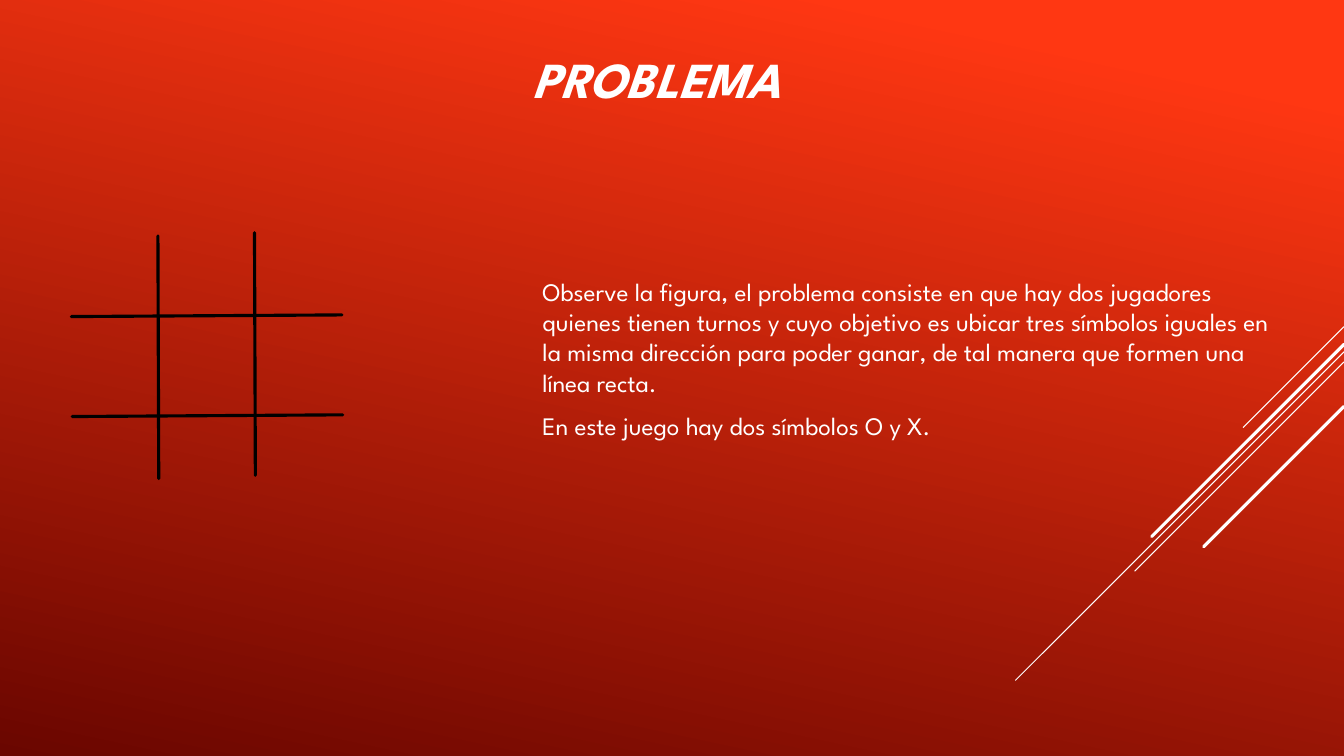
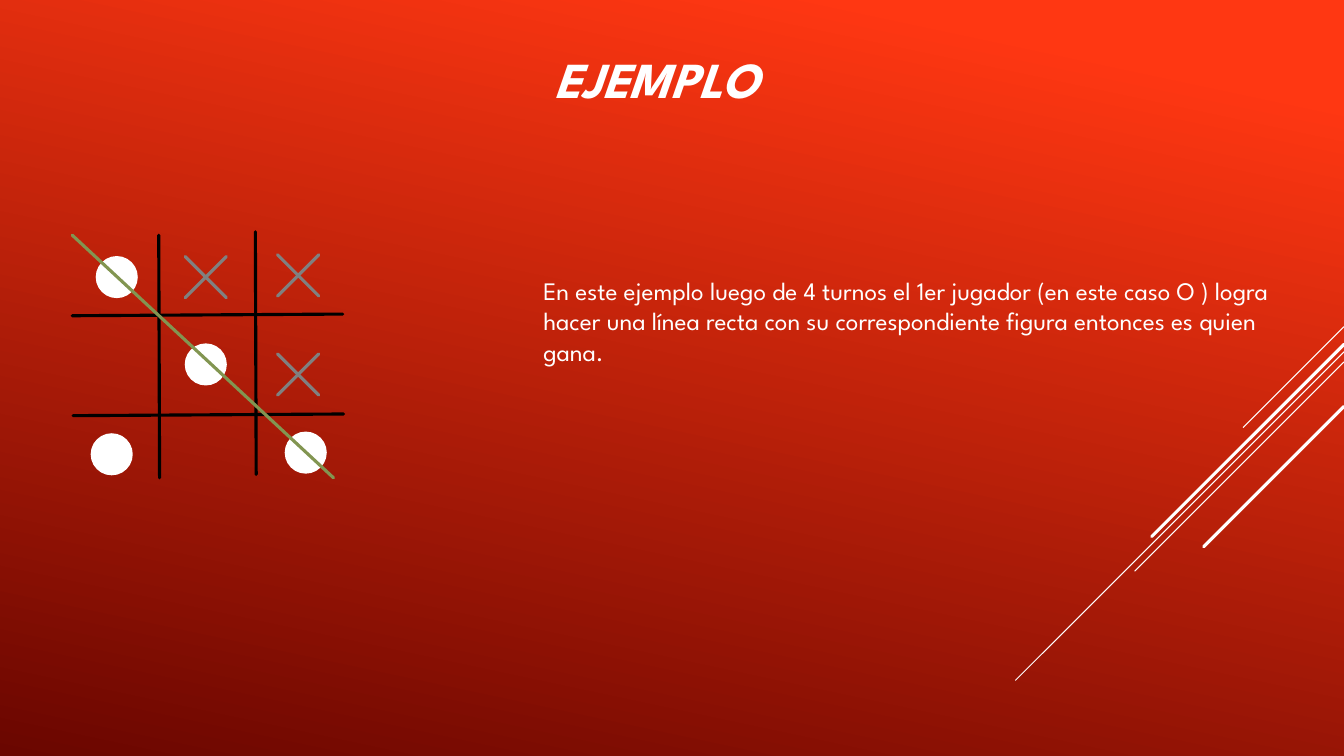
from lxml import etree
from pptx import Presentation
from pptx.dml.color import RGBColor
from pptx.enum.shapes import MSO_CONNECTOR, MSO_SHAPE
from pptx.enum.text import MSO_ANCHOR, PP_ALIGN
from pptx.oxml.ns import qn
from pptx.util import Inches, Pt

STRAIGHT = MSO_CONNECTOR.STRAIGHT
DISC = MSO_SHAPE.FLOWCHART_CONNECTOR
TOP, BOTTOM = MSO_ANCHOR.TOP, MSO_ANCHOR.BOTTOM
LEFT, CENTER = PP_ALIGN.LEFT, PP_ALIGN.CENTER

COLUMNS = 160
FONT = "League Spartan"
WHITE, BLACK, GREY, GREEN = "FFFFFF", "000000", "808080", "829551"
BACKGROUND = [(0.10, "FF3712"), (1.00, "6A0600")]
THIN, THICK = 0.75, 2.25
# Start row on the right edge, length in columns, line width
STRIPES = [(38.9, 12, THIN), (41.9, 39.1, THIN), (43.1, 24.9, THIN),
           (41, 22.9, THICK), (48.4, 16.7, THICK)]


def color(hex_code):
    return RGBColor.from_string(hex_code)


class Deck:
    """Slides on a square grid of 160 columns by 90 rows."""

    def __init__(self):
        self.presentation = Presentation()
        self.presentation.slide_width = Inches(13.33)
        self.presentation.slide_height = Inches(7.5)
        self.cell = self.presentation.slide_width / COLUMNS
        self.page = None

    def grid(self, *lengths):
        return [round(length * self.cell) for length in lengths]

    def new_page(self, title):
        self.page = self.presentation.slides.add_slide(self.presentation.slide_layouts[6])
        fill = self.page.background.fill
        fill.gradient()
        fill.gradient_angle = 360 - 102
        for stop, (position, hex_code) in zip(fill.gradient_stops, BACKGROUND):
            stop.position = position
            stop.color.rgb = color(hex_code)
        for row, length, width in STRIPES:
            self.line((COLUMNS, row), (COLUMNS - length, row + length), WHITE, width)
        self.text((22.2, 1.6, 112, 11.9), [title], 36, CENTER, BOTTOM, strong=True)

    def line(self, start, end, hex_code, width=THICK):
        connector = self.page.shapes.add_connector(STRAIGHT, *self.grid(*start, *end))
        connector.line.color.rgb = color(hex_code)
        connector.line.width = Pt(width)
        properties = connector.element.spPr
        properties.find(qn("a:ln")).set("cap", "rnd")
        etree.SubElement(properties, qn("a:effectLst"))

    def text(self, area, paragraphs, size, align=LEFT, anchor=TOP, strong=False):
        box = self.page.shapes.add_textbox(*self.grid(*area))
        frame = box.text_frame
        frame.word_wrap = True
        frame.vertical_anchor = anchor
        frame.text = "\n".join(paragraphs)
        for para in frame.paragraphs:
            para.alignment = align
            if not strong:
                para.space_before, para.space_after = Pt(0.2 * size), Pt(6)
            for span in para.runs:
                span.font.name = FONT
                span.font.size = Pt(size)
                span.font.bold = span.font.italic = strong
                span.font.color.rgb = color(WHITE)

    def body(self, left, top, height, paragraphs):
        self.text((left, top, 91.7, height), paragraphs, 18)

    def board(self, left, top):
        """Draw the slightly uneven, hand-made tic-tac-toe lines."""
        for index in range(2):
            x, y = left + 10.3 + 11.5 * index, top + 0.4 - 0.4 * index
            self.line((x, y), (x + 0.1, y + 28.9), BLACK)
            x, y = left + 0.1 * index, top + 9.8 + 11.9 * index
            self.line((x + 32.2, y), (x, y + 0.2), BLACK)

    def nought(self, x, y, size=4.8):
        disc = self.page.shapes.add_shape(
            DISC, *self.grid(x - size / 2, y - size / 2, size, size))
        disc.shadow.inherit = False
        disc.fill.solid()
        disc.fill.fore_color.rgb = color(WHITE)
        disc.line.color.rgb = color(WHITE)
        disc.line.width = Pt(1.25)

    def cross(self, x, y, reach=2.45):
        for side in (-reach, reach):
            self.line((x + side, y - reach), (x - side, y + reach), GREY)


def problem_page(deck):
    deck.new_page("PROBLEMA")
    deck.body(63.4, 32.3, 19.7, [
        "Observe la figura, el problema consiste en que hay dos jugadores quienes "
        "tienen turnos y cuyo objetivo es ubicar tres símbolos iguales en la misma "
        "dirección para poder ganar, de tal manera que formen una línea recta.",
        "En este juego hay dos símbolos O y X."])
    deck.board(8.5, 27.7)


def example_page(deck):
    deck.new_page("EJEMPLO")
    deck.body(63.5, 32.2, 14.9, [
        "En este ejemplo luego de 4 turnos el 1er jugador (en este caso O ) logra "
        "hacer una línea recta con su correspondiente figura entonces es quien gana."])
    left, top = 8.6, 27.6
    deck.board(left, top)
    for x, y in [(5.3, 5.4), (15.9, 15.8), (27.8, 26.3), (4.7, 26.5)]:
        deck.nought(left + x, top + y)
    for x, y in [(15.9, 5.4), (26.9, 5.2), (26.9, 17)]:
        deck.cross(left + x, top + y)
    deck.line((left, top + 0.4), (left + 31.1, top + 29.3), GREEN)


def main():
    deck = Deck()
    problem_page(deck)
    example_page(deck)
    deck.presentation.save("out.pptx")


if __name__ == "__main__":
    main()
